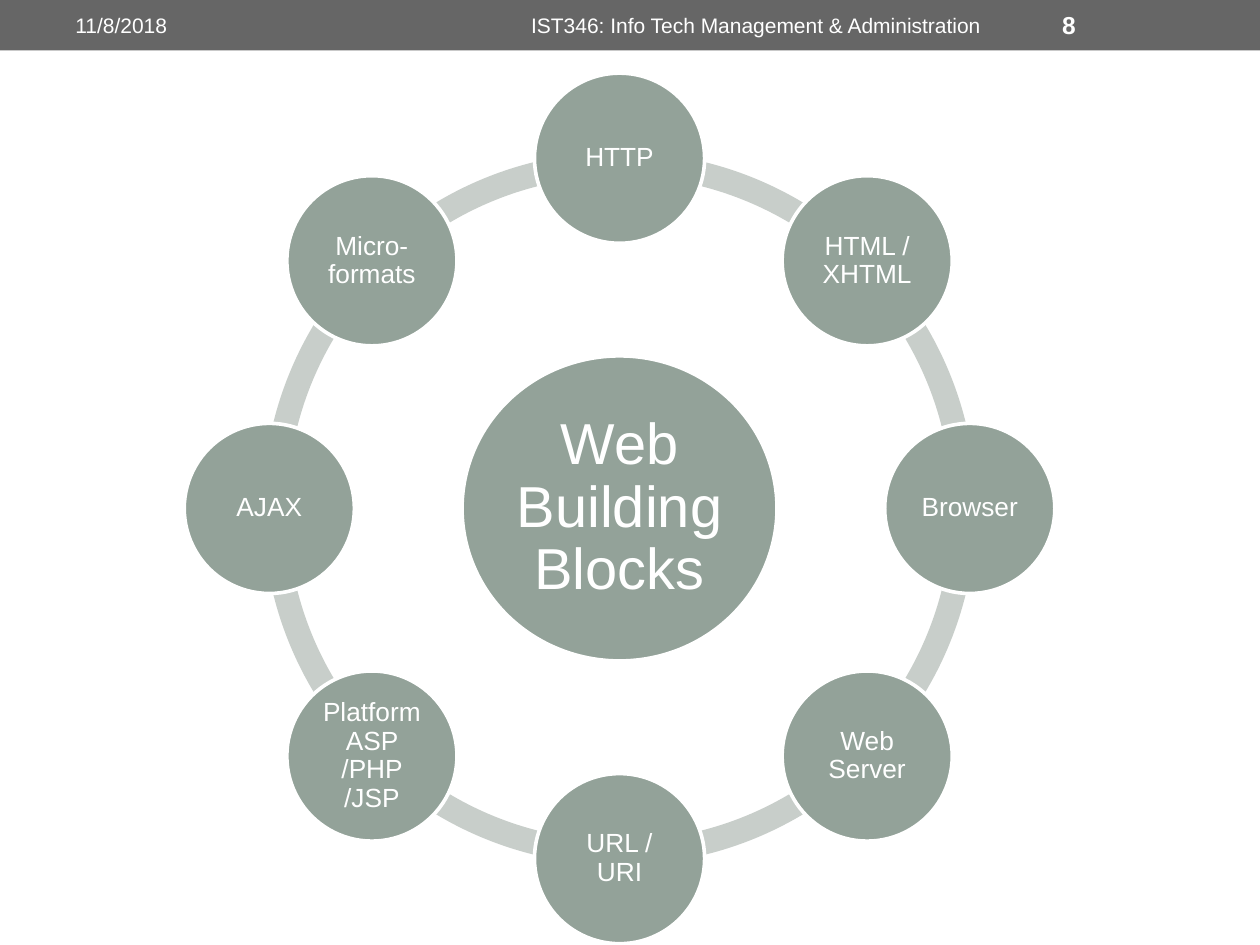
import copy
import math
from dataclasses import dataclass

from pptx import Presentation
from pptx import util as u
from pptx.dml.color import RGBColor
from pptx.enum import shapes, text
from pptx.oxml import ns


@dataclass(frozen=True)
class Theme:
    font: str = "Arial"
    bar: RGBColor = RGBColor(0x66, 0x66, 0x66)
    ring: RGBColor = RGBColor(0xC8, 0xCE, 0xCA)
    circle: RGBColor = RGBColor(0x93, 0xA2, 0x99)
    white: RGBColor = RGBColor(0xFF, 0xFF, 0xFF)
    header_size: int = 12
    number_size: int = 14
    hub_size: int = 33
    node_size: int = 15


theme = Theme()


def write(box, words, size, align=text.PP_ALIGN.CENTER, bold=False,
          spacing=1.0, inset_x=0.25, inset_y=0.13):
    frame = box.text_frame
    frame.word_wrap = True
    frame.vertical_anchor = text.MSO_ANCHOR.MIDDLE
    frame.margin_left = frame.margin_right = u.Cm(inset_x)
    frame.margin_top = frame.margin_bottom = u.Cm(inset_y)
    para = frame.paragraphs[0]
    para.text = words
    para.alignment = align
    para.line_spacing = spacing
    for span in para.runs:
        span.font.name = theme.font
        span.font.size = u.Pt(size)
        span.font.bold = bold
        span.font.color.rgb = theme.white
    # Line breaks take the same size as the words around them
    for line_break in para._p.findall(ns.qn("a:br")):
        line_break.append(copy.deepcopy(para.runs[0]._r.rPr))


def add_filled(kind, left, top, width, height, fill, outline=False):
    shape = page.shapes.add_shape(
        kind, u.Cm(left), u.Cm(top), u.Cm(width), u.Cm(height))
    shape.shadow.inherit = False
    shape.fill.solid()
    shape.fill.fore_color.rgb = fill
    if outline:
        shape.line.color.rgb = theme.white
        shape.line.width = u.Pt(2.08)
    else:
        shape.line.fill.background()
    return shape


deck = Presentation()
deck.slide_width = u.Cm(25.4)
deck.slide_height = u.Cm(19.05)
page = deck.slides.add_slide(deck.slide_layouts[6])

# Header bar
add_filled(shapes.MSO_SHAPE.RECTANGLE, 0, 0, 25.4, 1.02, theme.bar)

# Cycle geometry, in centimetres
center_x, center_y = 12.49, 10.25
ring_size, orbit, node_size = 14.38, 7.06, 3.43
hub_width, hub_height = 6.35, 6.15
labels = ["HTTP", "HTML / XHTML", "Browser", "Web Server", "URL / URI",
          "Platform\nASP /PHP /JSP", "AJAX", "Micro-formats"]
step = 360 / len(labels)

# Ring segments; arc angles are stored as 0.6 per degree
for index in range(len(labels)):
    start = index * step
    arc = add_filled(shapes.MSO_SHAPE.BLOCK_ARC, center_x - ring_size / 2,
                     center_y - ring_size / 2, ring_size, ring_size, theme.ring)
    arc.adjustments[0] = start * 0.6
    arc.adjustments[1] = (start + step) % 360 * 0.6
    arc.adjustments[2] = 0.034

# Hub
hub = add_filled(shapes.MSO_SHAPE.OVAL, center_x - hub_width / 2,
                 center_y - hub_height / 2, hub_width, hub_height,
                 theme.circle, outline=True)
write(hub, "Web Building Blocks", theme.hub_size, spacing=0.9,
      inset_x=0.12, inset_y=0.12)

# Nodes, clockwise from the top
for index, label in enumerate(labels):
    angle = math.radians(index * step - 90)
    node = add_filled(shapes.MSO_SHAPE.OVAL,
                      center_x + orbit * math.cos(angle) - node_size / 2,
                      center_y + orbit * math.sin(angle) - node_size / 2,
                      node_size, node_size, theme.circle, outline=True)
    write(node, label, theme.node_size, spacing=0.9, inset_x=0.05, inset_y=0.05)

# Date, course and page number
left_align, center_align = text.PP_ALIGN.LEFT, text.PP_ALIGN.CENTER
for words, left, width, size, align, bold in [
    ("11/8/2018", 1.27, 8.05, theme.header_size, left_align, False),
    ("IST346: Info Tech Management & Administration", 9.53, 11.43,
     theme.header_size, center_align, False),
    ("8", 21.16, 2.97, theme.number_size, left_align, True),
]:
    box = page.shapes.add_textbox(u.Cm(left), u.Cm(0.05), u.Cm(width), u.Cm(0.91))
    write(box, words, size, align=align, bold=bold)

deck.save("out.pptx")
